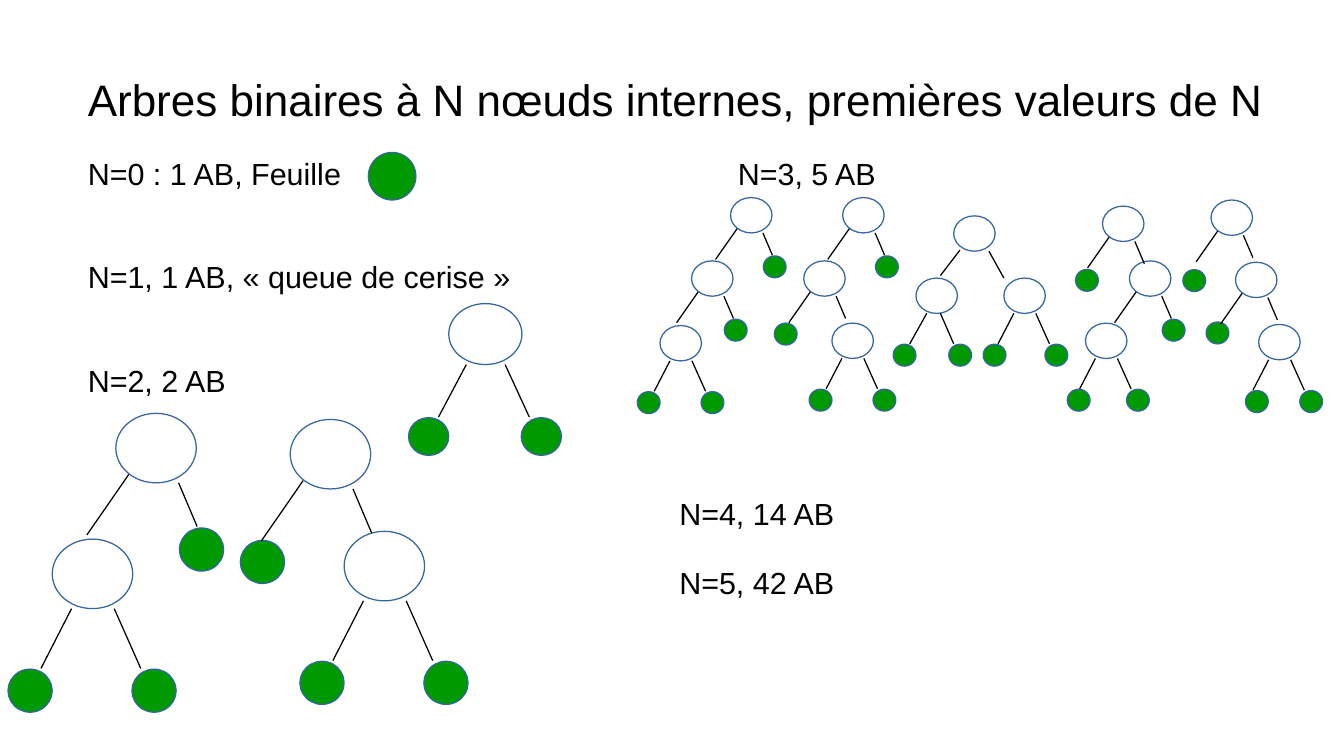
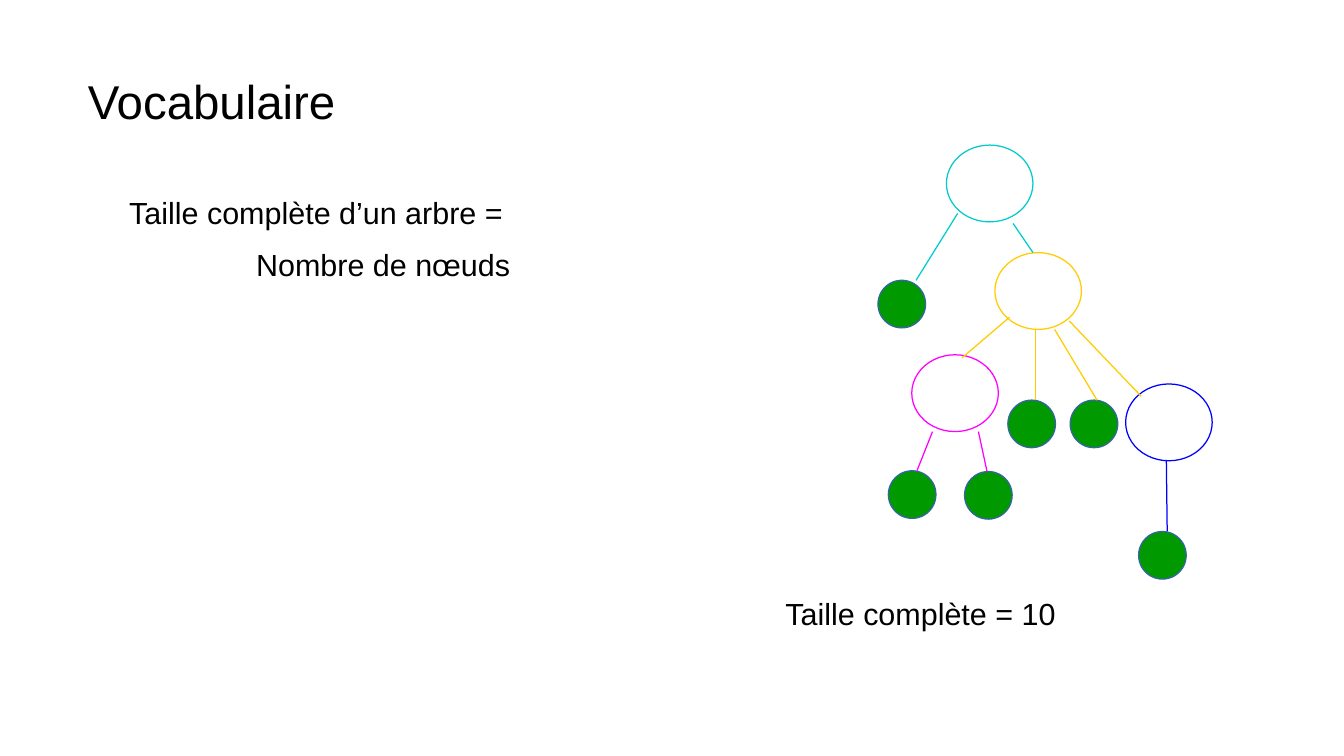
from dataclasses import dataclass

from lxml.etree import SubElement
from pptx import Presentation
from pptx.dml.color import RGBColor
from pptx.enum.shapes import MSO_CONNECTOR, MSO_SHAPE
from pptx.enum.text import MSO_ANCHOR
from pptx.oxml.ns import qn
from pptx.util import Inches, Pt


@dataclass(frozen=True)
class Theme:
    font: str = "Arial"
    text: str = "000000"
    paper: str = "FFFFFF"
    leaf: str = "009900"
    outline: str = "3465A4"
    cyan: str = "00CCCC"
    yellow: str = "FFCC00"
    magenta: str = "FF00FF"
    blue: str = "0000FF"
    body_size: float = 18
    line_width: float = 0.75


THEME = Theme()
COLUMNS, ROWS = 110.2, 62  # grid cells of a tenth of an inch
LEAF_SHARE = (0.55, 0.62)  # leaf size as a share of an internal node


@dataclass(frozen=True)
class Branch:
    """A child and its edge, in node widths and heights from the parent's corner."""
    child_at: tuple
    child: object
    start: tuple
    end: tuple


@dataclass(frozen=True)
class Node:
    branches: tuple
    outline: str = THEME.outline
    edge: str = THEME.text


LEAF = None
# Start and end of the left edge, then of the right edge
WIDE = ((0.16, 0.88), (-0.36, 1.75), (0.78, 1), (1.01, 1.63))
NARROW = ((0.24, 1), (-0.14, 1.86), (0.77, 1), (1.1, 1.86))
CLOSE = ((0.26, 1), (-0.15, 1.86), (0.59, 1), (0.91, 1.86))
OPEN = ((0.15, 0.97), (-0.32, 1.69), (0.85, 1), (1.21, 1.76))
RIGHT_LEAF = ((0.79, 1.65), LEAF)


def binary(left, right, fork=WIDE):
    left_start, left_end, right_start, right_end = fork
    return Node((Branch(*left, left_start, left_end),
                 Branch(*right, right_start, right_end)))


def cherry(left=-0.55, right=0.99, fork=NARROW):
    """An internal node with two leaves on one level."""
    return binary(((left, 1.87), LEAF), ((right, 1.87), LEAF), fork)


def colored(color, *branches):
    return Node(tuple(Branch(*branch) for branch in branches), color, color)


SIZE_TWO_TREES = (
    (9.5, 33.9, binary(((-0.79, 1.81), cherry()), RIGHT_LEAF)),
    (23.8, 34.4, binary(((-0.62, 1.74), LEAF), ((0.67, 1.61), cherry()))),
)

SIZE_THREE_TREES = (
    (59.9, 16.2, binary(
        ((-0.94, 1.79), binary(((-0.76, 1.83), cherry()), RIGHT_LEAF)),
        RIGHT_LEAF)),
    (69.1, 16.2, binary(
        ((-0.94, 1.79), binary(((-0.71, 1.76), LEAF), ((0.68, 1.76), cherry()))),
        RIGHT_LEAF)),
    (78.2, 17.7, binary(
        ((-0.91, 1.76), cherry(right=0.79, fork=CLOSE)),
        ((1.21, 1.76), cherry(left=-0.5)), OPEN)),
    (90.4, 16.9, binary(
        ((-0.65, 1.79), LEAF),
        ((0.65, 1.55), binary(((-1.06, 1.76), cherry(left=-0.44)), RIGHT_LEAF)))),
    (99.3, 16.4, binary(
        ((-0.68, 1.97), LEAF),
        ((0.59, 1.76), binary(((-0.71, 1.69), LEAF),
                              ((0.56, 1.76), cherry(left=-0.32)))))),
)

MAGENTA_NODE = colored(
    THEME.magenta,
    ((-0.27, 1.51), LEAF, (0.24, 1), (0.06, 1.51)),
    ((0.61, 1.52), LEAF, (0.77, 1), (0.87, 1.52)))
BLUE_NODE = colored(
    THEME.blue, ((0.15, 1.92), LEAF, (0.47, 1), (0.48, 1.92)))
YELLOW_NODE = colored(
    THEME.yellow,
    ((-0.96, 1.33), MAGENTA_NODE, (0.17, 0.84), (-0.38, 1.37)),
    ((0.15, 1.92), LEAF, (0.47, 1), (0.47, 1.92)),
    ((0.87, 1.92), LEAF, (0.69, 1), (1.18, 1.92)),
    ((1.51, 1.71), BLUE_NODE, (0.86, 0.89), (1.69, 1.87)))
GENERAL_TREE = colored(
    THEME.cyan,
    ((-0.79, 1.76), LEAF, (0.13, 0.89), (-0.35, 1.76)),
    ((0.56, 1.4), YELLOW_NODE, (0.77, 1.02), (1, 1.4)))


def cells(*counts):
    return [Inches(count / 10) for count in counts]


def apply_format(target, values):
    for name, value in values.items():
        setattr(target, name, value)


def format_line(line, color):
    line.color.rgb = RGBColor.from_string(color)
    line.width = Pt(THEME.line_width)


def add_text(slide, box, lines, size=THEME.body_size, gap=0, indents=(0,)):
    """Lines of text; gap is in points and indents, in cells, cycle over the lines."""
    frame = slide.shapes.add_textbox(*cells(*box)).text_frame
    apply_format(frame, {
        "word_wrap": True, "vertical_anchor": MSO_ANCHOR.TOP,
        "margin_left": 0, "margin_right": 0, "margin_top": 0, "margin_bottom": 0})
    for index, line in enumerate(lines):
        paragraph = frame.add_paragraph() if index else frame.paragraphs[0]
        indent, = cells(indents[index % len(indents)])
        if indent:
            paragraph._p.get_or_add_pPr().set("marL", str(int(indent)))
        if index:
            paragraph.space_before = Pt(gap)
        run = paragraph.add_run()
        run.text = line
        apply_format(run.font, {"name": THEME.font, "size": Pt(size)})
        run.font.color.rgb = RGBColor.from_string(THEME.text)


def add_title(slide, text, size):
    add_text(slide, (7.2, 5.95, 102, 5), [text], size)


def add_ellipse(slide, box, fill, outline):
    shape = slide.shapes.add_shape(MSO_SHAPE.OVAL, *cells(*box))
    shape.shadow.inherit = False
    shape.fill.solid()
    shape.fill.fore_color.rgb = RGBColor.from_string(fill)
    format_line(shape.line, outline)


def add_leaf(slide, box):
    add_ellipse(slide, box, THEME.leaf, THEME.outline)


def add_edge(slide, start, end, color):
    connector = slide.shapes.add_connector(
        MSO_CONNECTOR.STRAIGHT, *cells(*start, *end))
    format_line(connector.line, color)
    SubElement(connector._element.spPr, qn("a:effectLst"))


def add_tree(slide, node, box):
    """Draw node in box, then its edges and subtrees in proportion to that box."""
    left, top, width, height = box

    def place(point):
        return left + point[0] * width, top + point[1] * height

    add_ellipse(slide, box, THEME.paper, node.outline)
    for branch in node.branches:
        corner = place(branch.child_at)
        if branch.child is LEAF:
            add_leaf(slide, (*corner, LEAF_SHARE[0] * width, LEAF_SHARE[1] * height))
        else:
            add_tree(slide, branch.child, (*corner, width, height))
        add_edge(slide, place(branch.start), place(branch.end), node.edge)


def add_forest(slide, trees, node_size):
    for left, top, tree in trees:
        add_tree(slide, tree, (left, top, *node_size))


def build_first_values(slide):
    add_title(slide, "Arbres binaires à N nœuds internes, premières valeurs de N", 26)
    add_text(slide, (7.2, 12.7, 40, 20),
             ["N=0 : 1 AB, Feuille", "N=1, 1 AB, « queue de cerise »", "N=2, 2 AB"],
             gap=39.5)
    add_text(slide, (60.5, 12.7, 20, 3), ["N=3, 5 AB"])
    add_text(slide, (55.7, 40.6, 20, 9), ["N=4, 14 AB", "N=5, 42 AB"], gap=19.4)
    add_leaf(slide, (30.2, 12.5, 3.9, 3.9))
    add_tree(slide, cherry(), (36.8, 24.9, 6, 5))
    add_forest(slide, SIZE_TWO_TREES, (6.6, 5.7))
    add_forest(slide, SIZE_THREE_TREES, (3.4, 2.9))


def build_vocabulary(slide):
    add_title(slide, "Vocabulaire", 28)
    add_text(slide, (10.6, 15.9, 40, 8),
             ["Taille complète d’un arbre =", "Nombre de nœuds"],
             gap=9.4, indents=(0, 10.4))
    add_tree(slide, GENERAL_TREE, (77.6, 11.9, 7.1, 6.3))
    add_text(slide, (64.4, 48.8, 37, 3), ["Taille complète = 10"])


def main():
    presentation = Presentation()
    presentation.slide_width, presentation.slide_height = cells(COLUMNS, ROWS)
    blank_layout = presentation.slide_layouts[6]
    for build in (build_first_values, build_vocabulary):
        build(presentation.slides.add_slide(blank_layout))
    presentation.save("out.pptx")


if __name__ == "__main__":
    main()
